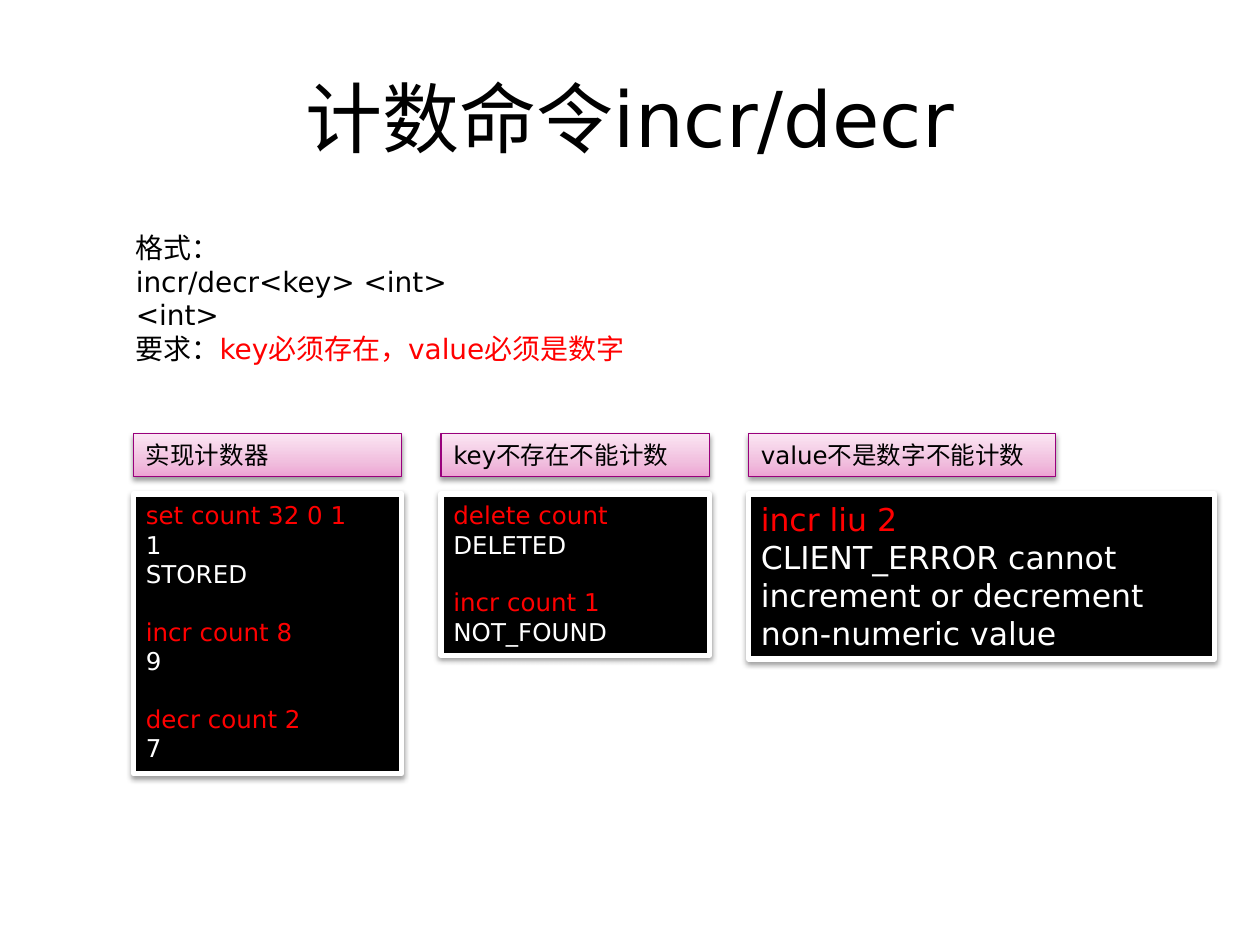
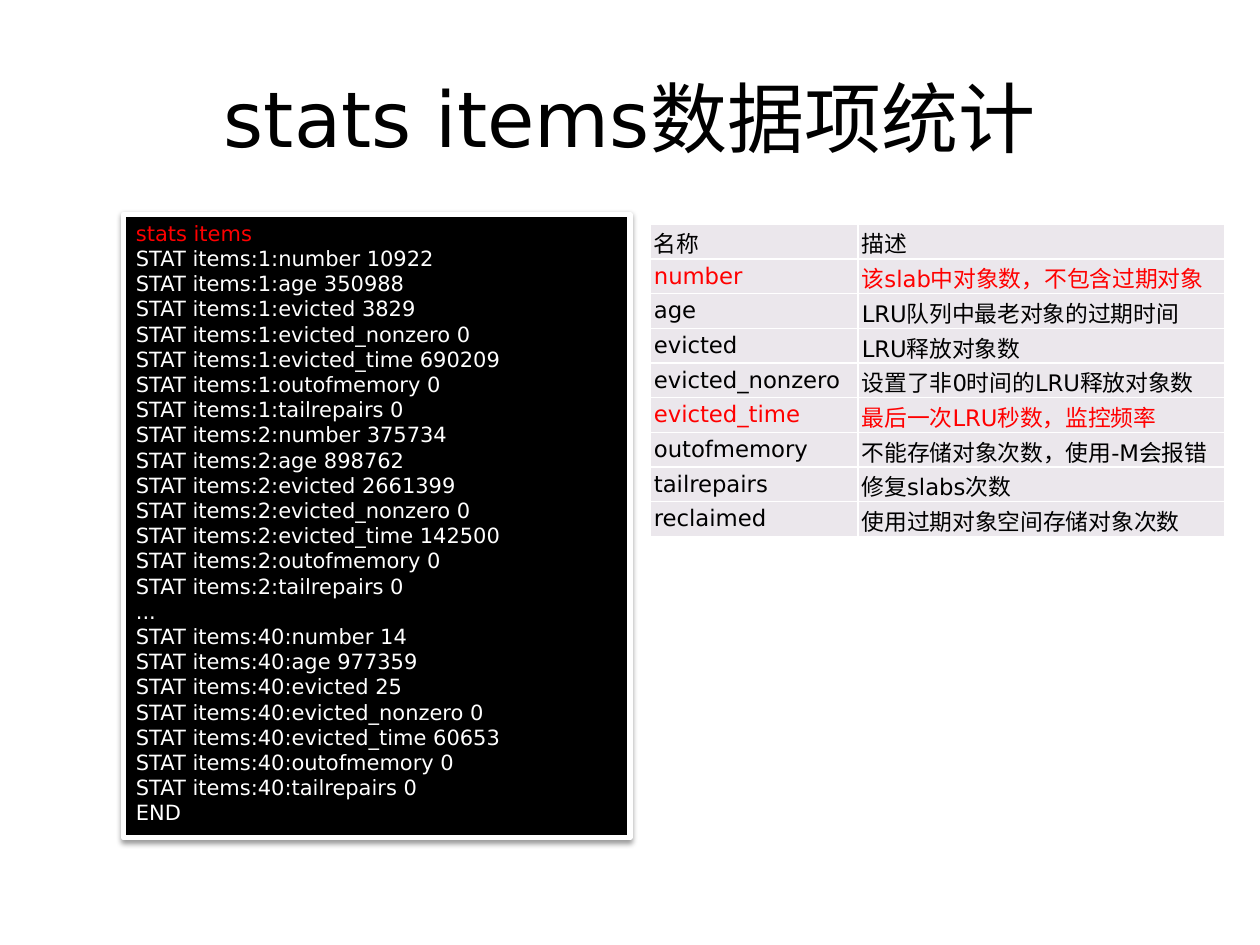
from copy import deepcopy

from lxml import etree
from pptx import Presentation
from pptx.dml.color import RGBColor
from pptx.enum import shapes, text
from pptx.oxml import ns
from pptx import util as u

FONT = "DejaVu Sans"
BLACK = RGBColor(0x00, 0x00, 0x00)
WHITE = RGBColor(0xFF, 0xFF, 0xFF)
RED = RGBColor(0xFF, 0x00, 0x00)
PURPLE = RGBColor(0x99, 0x00, 0x7C)
CELL_GREY = RGBColor(0xEB, 0xE7, 0xEC)
PINK_STOPS = [
    (0, RGBColor(0xED, 0xA4, 0xD3)),
    (0.35, RGBColor(0xF1, 0xC0, 0xDF)),
    (1, RGBColor(0xFB, 0xE6, 0xF3)),
]
LINE_HEIGHT = 1.16


def add_child(parent, tag, **attributes):
    return etree.SubElement(parent, ns.qn(tag), attributes)


class Deck:
    def __init__(self):
        self.presentation = Presentation()
        self.presentation.slide_width = u.Inches(10)
        self.presentation.slide_height = u.Inches(7.5)
        self.slide = None

    def new_slide(self, title):
        self.slide = self.presentation.slides.add_slide(self.presentation.slide_layouts[6])
        frame = self.text_box((0.5, 0.3, 9, 1.25), [[(title, BLACK)]], 44)
        frame.vertical_anchor = text.MSO_ANCHOR.MIDDLE
        frame.paragraphs[0].alignment = text.PP_ALIGN.CENTER

    def set_lines(self, frame, lines, size):
        frame.word_wrap = True
        for index, pieces in enumerate(lines):
            paragraph = frame.add_paragraph() if index else frame.paragraphs[0]
            paragraph.alignment = text.PP_ALIGN.LEFT
            for words, color in pieces:
                run = paragraph.add_run()
                run.text = words
                run.font.name = FONT
                run.font.size = u.Pt(size)
                run.font.color.rgb = color

    def text_box(self, box, lines, size):
        frame = self.slide.shapes.add_textbox(*map(u.Inches, box)).text_frame
        self.set_lines(frame, lines, size)
        return frame

    def panel(self, box, line_color, line_width):
        shape = self.slide.shapes.add_shape(shapes.MSO_SHAPE.RECTANGLE, *map(u.Inches, box))
        shape.line.color.rgb = line_color
        shape.line.width = u.Pt(line_width)
        shape.text_frame.vertical_anchor = text.MSO_ANCHOR.TOP
        shape.shadow.inherit = False
        effects = shape._element.spPr.find(ns.qn("a:effectLst"))
        shadow = add_child(effects, "a:outerShdw", blurRad=str(u.Pt(3.1)), dist=str(u.Pt(1.6)),
                           dir="5400000", rotWithShape="0")
        color = add_child(shadow, "a:srgbClr", val=str(BLACK))
        add_child(color, "a:alpha", val="38000")
        return shape

    def label(self, box, words):
        shape = self.panel(box, PURPLE, 0.75)
        shape.fill.gradient()
        shape.fill.gradient_angle = 90
        stop_list = shape._element.spPr.find(".//" + ns.qn("a:gsLst"))
        stop_list.insert(1, deepcopy(stop_list[0]))
        for stop, (position, color) in zip(shape.fill.gradient_stops, PINK_STOPS):
            stop.position = position
            stop.color.rgb = color
        self.set_lines(shape.text_frame, [[(words, BLACK)]], 14)

    def terminal(self, box, commands, size):
        shape = self.panel(box, WHITE, 3)
        shape.fill.solid()
        shape.fill.fore_color.rgb = BLACK
        lines, starts = [], []
        for command, *replies in commands:
            starts.append(len(lines))
            lines.append([(command, RED)])
            lines.extend([(reply, WHITE)] for reply in replies)
        self.set_lines(shape.text_frame, lines, size)
        for start in starts[1:]:
            shape.text_frame.paragraphs[start].space_before = u.Pt(size * LINE_HEIGHT)

    def table(self, box, column_widths, rows, red_names):
        table = self.slide.shapes.add_table(
            len(rows), len(column_widths), *map(u.Inches, box)).table
        table.first_row = table.horz_banding = False
        for column, width in zip(table.columns, column_widths):
            column.width = u.Inches(width)
        for row_index, row in enumerate(rows):
            color = RED if row[0] in red_names else BLACK
            for column_index, words in enumerate(row):
                self.fill_cell(table.cell(row_index, column_index), words, color)

    def fill_cell(self, cell, words, color):
        cell.margin_left = cell.margin_right = u.Inches(0.03)
        cell.margin_top = cell.margin_bottom = u.Inches(0.02)
        cell.vertical_anchor = text.MSO_ANCHOR.MIDDLE
        properties = cell._tc.get_or_add_tcPr()
        for side in "LRTB":
            border = add_child(properties, f"a:ln{side}", w=str(u.Pt(1)))
            add_child(add_child(border, "a:solidFill"), "a:srgbClr", val=str(WHITE))
        cell.fill.solid()
        cell.fill.fore_color.rgb = CELL_GREY
        self.set_lines(cell.text_frame, [[(words, color)]], 13)


def counter_slide(deck):
    deck.new_slide("计数命令incr/decr")
    deck.text_box((0.98, 1.78, 8.03, 1.18), [
        [("格式：", BLACK)],
        [("incr/decr<key> <int>", BLACK)],
        [("<int>", BLACK)],
        [("要求：", BLACK), ("key必须存在，value必须是数字", RED)],
    ], 16)
    examples = [
        ("实现计数器", 2.13, (2.13, 2.22), 14, [
            ("set count 32 0 1", "1", "STORED"),
            ("incr count 8", "9"),
            ("decr count 2", "7"),
        ]),
        ("key不存在不能计数", 2.13, (2.13, 1.28), 14, [
            ("delete count", "DELETED"),
            ("incr count 1", "NOT_FOUND"),
        ]),
        ("value不是数字不能计数", 2.44, (3.7, 1.31), 18, [
            ("incr liu 2", "CLIENT_ERROR cannot increment or decrement non-numeric value"),
        ]),
    ]
    for index, (heading, label_width, terminal_size, font_size, commands) in enumerate(examples):
        left = 1.06 + 2.44 * index
        deck.terminal((left, 3.92, *terminal_size), commands, font_size)
        deck.label((left, 3.44, label_width, 0.34), heading)


def stats_slide(deck):
    deck.new_slide("stats items数据项统计")
    fields = ("number", "age", "evicted", "evicted_nonzero",
              "evicted_time", "outofmemory", "tailrepairs")
    slabs = {
        1: (10922, 350988, 3829, 0, 690209, 0, 0),
        2: (375734, 898762, 2661399, 0, 142500, 0, 0),
        40: (14, 977359, 25, 0, 60653, 0, 0),
    }
    output = ["stats items"]
    for slab, values in slabs.items():
        if slab == 40:
            output.append("...")
        output += [f"STAT items:{slab}:{field} {value}" for field, value in zip(fields, values)]
    output.append("END")
    deck.terminal((0.98, 1.7, 4.02, 4.95), [output], 12)

    descriptions = (
        "该slab中对象数，不包含过期对象",
        "LRU队列中最老对象的过期时间",
        "LRU释放对象数",
        "设置了非0时间的LRU释放对象数",
        "最后一次LRU秒数，监控频率",
        "不能存储对象次数，使用-M会报错",
        "修复slabs次数",
    )
    rows = [("名称", "描述"), *zip(fields, descriptions),
            ("reclaimed", "使用过期对象空间存储对象次数")]
    deck.table((5.16, 1.78, 4.56, 2.48), (1.65, 2.91), rows, ("number", "evicted_time"))


def main():
    deck = Deck()
    counter_slide(deck)
    stats_slide(deck)
    deck.presentation.save("out.pptx")


if __name__ == "__main__":
    main()
